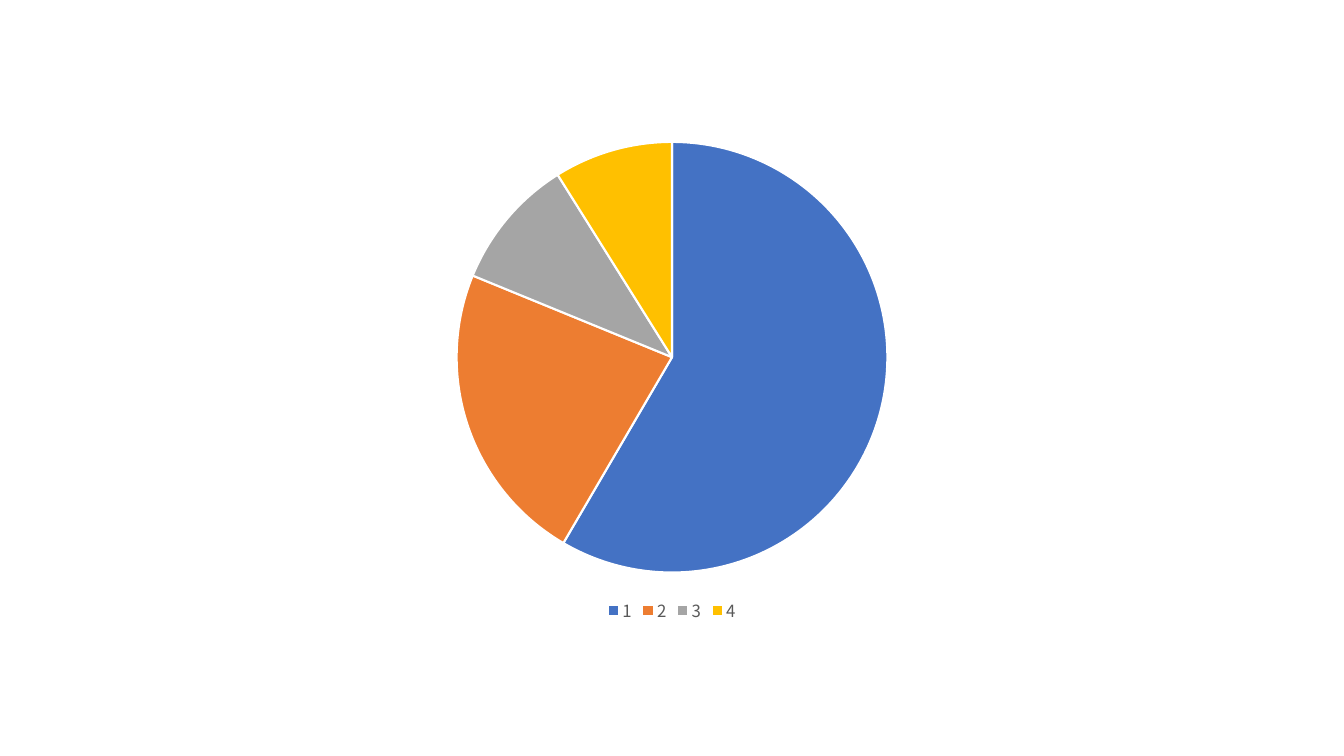
import pptx
import pptx.chart.data
import pptx.dml.color
import pptx.enum.chart
import pptx.util
from pptx.util import Inches


def color(value):
    return pptx.dml.color.RGBColor.from_string(value)


class SlideBuilder:
    """Holds the chart style and the current slide."""

    font_name = "Noto Sans CJK SC"
    text_color = "595959"
    border_color = "FFFFFF"

    def __init__(self, slide):
        self.slide = slide

    def set_font(self, font, size):
        values = {"name": self.font_name, "size": pptx.util.Pt(size)}
        for attribute, value in values.items():
            setattr(font, attribute, value)
        font.color.rgb = color(self.text_color)

    def add_pie(self, position, series_name, slices):
        """Draw slices given as (category, value, fill color)."""
        categories, values, fills = zip(*slices)
        data = pptx.chart.data.CategoryChartData()
        data.categories = categories
        data.add_series(series_name, values)
        chart = self.slide.shapes.add_chart(
            pptx.enum.chart.XL_CHART_TYPE.PIE, *map(Inches, position), data
        ).chart
        chart.has_title = False
        self.set_font(chart.font, 10)

        chart.has_legend = True
        legend_format = {
            "position": pptx.enum.chart.XL_LEGEND_POSITION.BOTTOM,
            "include_in_layout": False,
        }
        for attribute, value in legend_format.items():
            setattr(chart.legend, attribute, value)
        self.set_font(chart.legend.font, 12)

        plot = chart.plots[0]
        plot.vary_by_categories = True
        for index, fill in enumerate(fills):
            point_format = plot.series[0].points[index].format
            point_format.fill.solid()
            point_format.fill.fore_color.rgb = color(fill)
            point_format.line.color.rgb = color(self.border_color)
            point_format.line.width = pptx.util.Pt(1.5)


def main():
    presentation = pptx.Presentation()
    presentation.slide_width = Inches(13.33)
    presentation.slide_height = Inches(7.5)
    slide = presentation.slides.add_slide(presentation.slide_layouts[6])
    SlideBuilder(slide).add_pie(
        (2.72, 1.27, 7.89, 4.95),
        "Series 1",
        [
            ("1", 59, "4472C4"),
            ("2", 23, "ED7D31"),
            ("3", 10, "A5A5A5"),
            ("4", 9, "FFC000"),
        ],
    )
    presentation.save("out.pptx")


if __name__ == "__main__":
    main()
